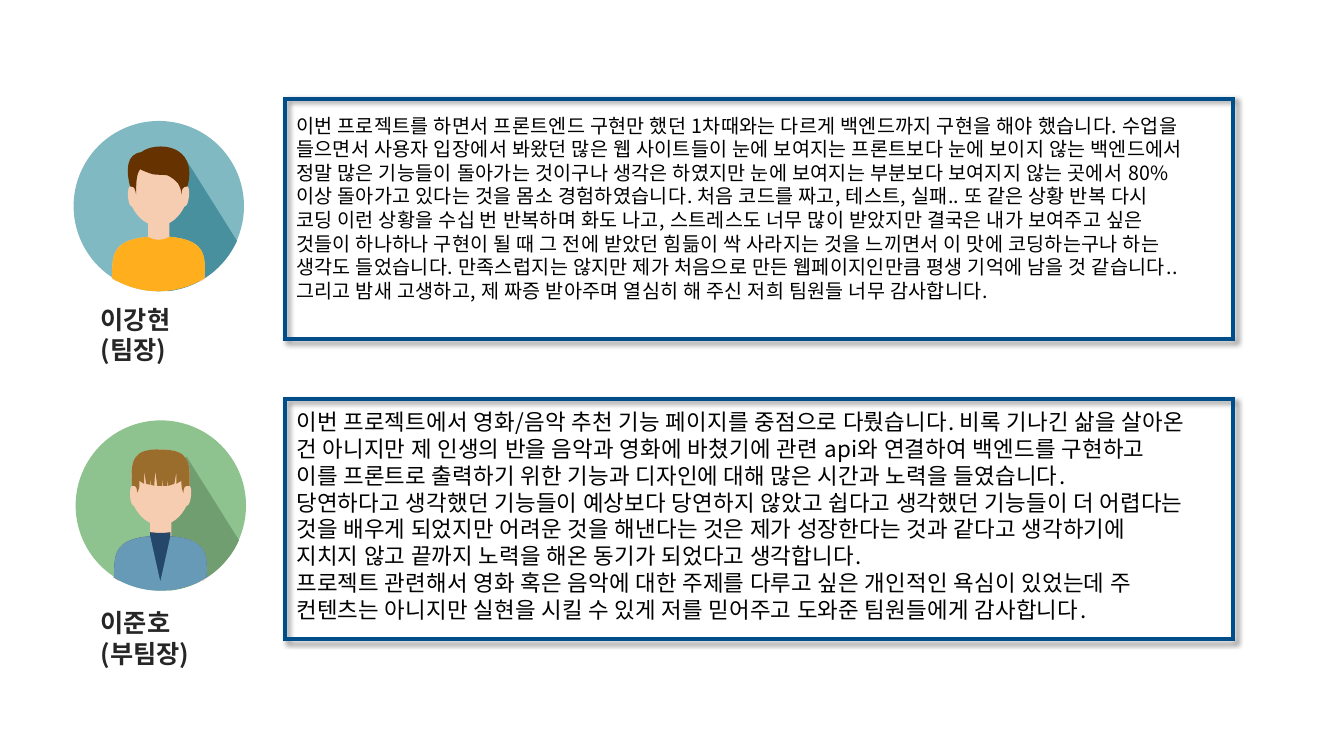
import pptx
import pptx.util
import pptx.dml.color
import pptx.enum.shapes
import pptx.enum.text
import pptx.oxml
import pptx.oxml.ns

Inches = pptx.util.Inches
FONT = "Noto Sans CJK KR"
HUES = {
    "frame": "004E89", "name": "262626", "text": "000000", "skin": "F6CDB1",
    "teal": "81B9C3", "teal_dark": "48909E", "shirt": "FFAF1D", "brown": "663300",
    "green": "8EC28E", "green_dark": "709E70", "navy": "24476A",
    "jacket": "679AB7", "tan": "9A6D2D",
}

LEFT = (.39, 1.37, .35, 1.18, .74, 1.15)
RIGHT = (1.34, 1.18, 1.3, 1.37, 1.3, 1.56)
HEM = [(1.17, 1.64, 1.01, 1.69, .84, 1.69), (.67, 1.69, .51, 1.64, .38, 1.56)]
SHADE = [(1.1, .36), (1.62, 1.19), (1.5, 1.46, 1.24, 1.66, .93, 1.69), (.84, .98)]
NECK = [(.38, 1.56), LEFT, (.74, 1), (.95, 1), (.95, 1.15), RIGHT,
        (1.27, 1.59), (.42, 1.59)]
FACE = [(.56, .65), (.53, .65, .53, .84, .58, .85), (.63, .95, .72, 1.04, .84, 1.04),
        (.96, 1.04, 1.05, .95, 1.1, .85), (1.15, .85, 1.16, .65, 1.13, .65),
        (1.14, .43, 1.13, .29, .85, .29), (.56, .29, .54, .42, .56, .65)]
SHIRT = [(.38, 1.56), LEFT, (.81, 1.19, .87, 1.19, .95, 1.15), RIGHT] + HEM
SWEPT = [(1.07, .73), (1.07, .68, 1.08, .65, 1.13, .65), (1.24, .22, .81, .2, .67, .31),
         (.52, .33, .52, .49, .56, .65), (.61, .65, .61, .68, .62, .73),
         (.62, .63, .62, .53, .66, .48), (.7, .5, .75, .52, .79, .53),
         (.88, .54, .93, .53, .95, .55), (1.03, .6, 1.06, .63, 1.07, .73)]
VEST = [(.38, 1.56), LEFT, (.74, 1.11), (.81, 1.12, .88, 1.12, .94, 1.11),
        (.94, 1.15), RIGHT, (.85, 1.64), (.42, 1.58)]
JACKET = [(.38, 1.56), LEFT, (.84, 1.6), (.94, 1.15), RIGHT] + HEM
FRINGE = [(1.05, .6), (1.05, .65, 1.05, .68, 1.07, .72), (1.07, .67, 1.08, .64, 1.13, .65),
          (1.14, .4, 1.12, .29, .84, .29), (.57, .28, .54, .4, .56, .65),
          (.6, .64, .61, .67, .61, .72), (.63, .68, .64, .65, .63, .6),
          (.68, .63), (.68, .5), (.7, .63), (.74, .64), (.75, .56), (.75, .64),
          (.78, .65), (.79, .5), (.81, .65), (.86, .65), (.86, .55), (.87, .65),
          (.91, .65), (.91, .57), (.92, .65), (.98, .63), (1, .51), (1, .63)]

LEAD = {
    "name": "이강현\v(팀장)", "tag": (.9, 2.97), "disc": (.73, 1.2), "frame": .98,
    "back": "teal", "shade": "teal_dark", "size": 14, "gap": 20, "top": 1.08,
    "look": [(SHIRT, "shirt"), (SWEPT, "brown")],
    "text": "이번 프로젝트를 하면서 프론트엔드 구현만 했던 1차때와는 다르게 백엔드까지 구현을 해야 했습니다. "
            "수업을 들으면서 사용자 입장에서 봐왔던 많은 웹 사이트들이 눈에 보여지는 프론트보다 눈에 보이지 않는 "
            "백엔드에서 정말 많은 기능들이 돌아가는 것이구나 생각은 하였지만 눈에 보여지는 부분보다 보여지지 않는 "
            "곳에서 80%이상 돌아가고 있다는 것을 몸소 경험하였습니다. 처음 코드를 짜고, 테스트, 실패.. 또 같은 "
            "상황 반복 다시 코딩 이런 상황을 수십 번 반복하며 화도 나고, 스트레스도 너무 많이 받았지만 결국은 내가 "
            "보여주고 싶은 것들이 하나하나 구현이 될 때 그 전에 받았던 힘듦이 싹 사라지는 것을 느끼면서 이 맛에 "
            "코딩하는구나 하는 생각도 들었습니다. 만족스럽지는 않지만 제가 처음으로 만든 웹페이지인만큼 평생 "
            "기억에 남을 것 같습니다.. 그리고 밤새 고생하고, 제 짜증 받아주며 열심히 해 주신 저희 팀원들 너무 "
            "감사합니다.",
}
VICE = {
    "name": "이준호\v(부팀장)", "tag": (.9, 5.98), "disc": (.75, 4.17), "frame": 3.96,
    "back": "green", "shade": "green_dark", "size": 16, "gap": 22, "top": 4,
    "look": [(VEST, "navy"), (JACKET, "jacket"), (FRINGE, "tan")],
    "text": "이번 프로젝트에서 영화/음악 추천 기능 페이지를 중점으로 다뤘습니다. 비록 기나긴 삶을 "
            "살아온 건 아니지만 제 인생의 반을 음악과 영화에 바쳤기에 관련 api와 연결하여 백엔드를 "
            "구현하고 이를 프론트로 출력하기 위한 기능과 디자인에 대해 많은 시간과 노력을 들였습니다.\n"
            "당연하다고 생각했던 기능들이 예상보다 당연하지 않았고 쉽다고 생각했던 기능들이 더 어렵다는 "
            "것을 배우게 되었지만 어려운 것을 해낸다는 것은 제가 성장한다는 것과 같다고 생각하기에 "
            "지치지 않고 끝까지 노력을 해온 동기가 되었다고 생각합니다.\n"
            "프로젝트 관련해서 영화 혹은 음악에 대한 주제를 다루고 싶은 개인적인 욕심이 있었는데 주 "
            "컨텐츠는 아니지만 실현을 시킬 수 있게 저를 믿어주고 도와준 팀원들에게 감사합니다.",
}


def tint(name):
    """Return the named colour."""
    return pptx.dml.color.RGBColor.from_string(HUES[name])


def paint(shape, hue):
    """Fill a shape flat, with no line or shadow."""
    shape.shadow.inherit = False
    shape.fill.solid()
    shape.fill.fore_color.rgb = tint(hue)
    shape.line.fill.background()


def add_patch(group, left, top, parts, hue):
    """Draw a closed outline whose six-number parts are cubic curves."""
    dots = [(Inches(left + part[i]), Inches(top + part[i + 1]))
            for part in parts for i in range(0, len(part), 2)]
    pen = group.build_freeform(*dots[0])
    pen.add_line_segments(dots[1:], close=True)
    patch = pen.convert_to_shape()
    lines = iter(list(patch._element.iter(pptx.oxml.ns.qn("a:lnTo"))))
    for part in parts[1:]:
        line = next(lines)
        if len(part) == 6:
            curve = line.makeelement(pptx.oxml.ns.qn("a:cubicBezTo"))
            line.addprevious(curve)
            for old in (line, next(lines), next(lines)):
                curve.append(old[0])
                old.getparent().remove(old)
    paint(patch, hue)


def add_face(slide, left, top, man):
    """Draw the round portrait from its top left corner."""
    group = slide.shapes.add_group_shape().shapes
    disc = group.add_shape(pptx.enum.shapes.MSO_SHAPE.OVAL, Inches(left), Inches(top),
                           Inches(1.69), Inches(1.69))
    paint(disc, man["back"])
    base = [(SHADE, man["shade"]), (NECK, "skin"), (FACE, "skin")]
    for parts, hue in base + man["look"]:
        add_patch(group, left, top, parts, hue)


def add_frame(slide, left, top, width, height):
    """Draw the blue outline with its soft shadow."""
    frame = slide.shapes.add_shape(pptx.enum.shapes.MSO_SHAPE.RECTANGLE, Inches(left),
                                   Inches(top), Inches(width), Inches(height))
    space = pptx.oxml.ns.nsdecls("a")
    frame.fill.background()
    frame.line.color.rgb = tint("frame")
    frame.line.width = pptx.util.Pt(3)
    frame.line._ln.append(pptx.oxml.parse_xml(f'<a:miter {space} lim="800000"/>'))
    frame.shadow.inherit = False
    glow = frame._element.spPr.find(pptx.oxml.ns.qn("a:effectLst"))
    glow.append(pptx.oxml.parse_xml(
        f'<a:outerShdw {space} blurRad="50800" dist="38100" '
        'dir="2700000" algn="tl" rotWithShape="0"><a:srgbClr val="000000">'
        '<a:alpha val="40000"/></a:srgbClr></a:outerShdw>'))


def add_text(slide, box, text, size, hue, gap=0, bold=False):
    """Write paragraphs in a box with even line pitch."""
    frame = slide.shapes.add_textbox(*map(Inches, box)).text_frame
    frame.word_wrap = True
    frame.auto_size = pptx.enum.text.MSO_AUTO_SIZE.SHAPE_TO_FIT_TEXT
    frame.text = text
    for para in frame.paragraphs:
        para.line_spacing = pptx.util.Pt(size * 1.2)
        for run in para.runs:
            font = run.font
            font.name, font.size, font.bold = FONT, pptx.util.Pt(size), bold
            font.color.rgb = tint(hue)
            font._element.set("spc", str(gap))
            font._element.append(pptx.oxml.parse_xml(
                f'<a:ea {pptx.oxml.ns.nsdecls("a")} typeface="{FONT}"/>'))


def add_man(slide, man):
    """Place one member's frame, portrait, name and review."""
    add_frame(slide, 2.83, man["frame"], 9.4, 2.38)
    add_face(slide, *man["disc"], man)
    add_text(slide, (*man["tag"], 1.6, .7), man["name"], 18, "name", bold=True)
    add_text(slide, (2.84, man["top"], 9.01, 2.3), man["text"], man["size"], "text",
             man["gap"])


def main():
    """Build and save the slide."""
    deck = pptx.Presentation()
    deck.slide_width, deck.slide_height = Inches(13.33), Inches(7.5)
    slide = deck.slides.add_slide(deck.slide_layouts[6])
    for man in (LEAD, VICE):
        add_man(slide, man)
    deck.save("out.pptx")


if __name__ == "__main__":
    main()
